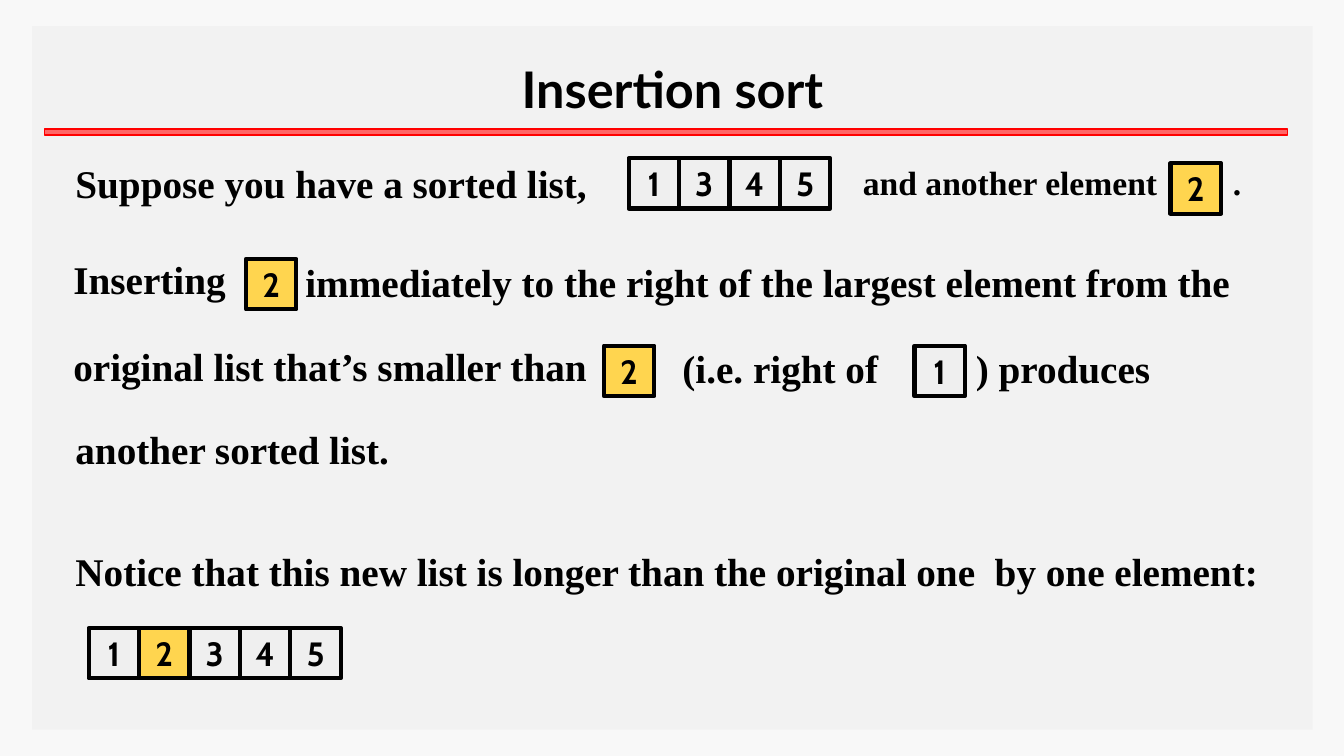
from dataclasses import dataclass

from lxml import etree
from pptx import Presentation
from pptx import util as u
from pptx.dml.color import RGBColor
from pptx.enum import shapes, text
from pptx.oxml import ns


@dataclass(frozen=True)
class Theme:
    background: str = "F8F8F8"
    panel: str = "EAEAEA"
    rule: str = "FF6666"
    rule_edge: str = "FF0000"
    ink: str = "000000"
    plain: str = "EFEFEF"
    inserted: str = "FFD54F"
    title_font: str = "Lato"
    body_font: str = "Times New Roman"
    cell_font: str = "Cabin"
    title_size: int = 36
    body_size: int = 28
    small_size: int = 24
    margin: float = 1
    tight: float = 0.5


THEME = Theme()
COLUMNS, ROWS = 133.3, 75
CELL = 5
GRID = u.Inches(0.1)


def grid(*cells):
    return [u.Emu(round(c * GRID)) for c in cells]


def colour(value):
    return RGBColor.from_string(value)


def write(tf, words, font, size, align=None, anchor=text.MSO_ANCHOR.TOP,
          inset=THEME.margin, tab=None):
    tf.word_wrap = True
    tf.auto_size = text.MSO_AUTO_SIZE.NONE
    tf.vertical_anchor = anchor
    tf.margin_left, tf.margin_right = grid(THEME.margin, THEME.margin)
    tf.margin_top, tf.margin_bottom = grid(inset, inset)
    p = tf.paragraphs[0]
    p.alignment = align
    if tab:
        stops = etree.SubElement(p._p.get_or_add_pPr(), ns.qn("a:tabLst"))
        etree.SubElement(stops, ns.qn("a:tab"), pos=str(grid(tab)[0]), algn="l")
    r = p.add_run()
    r.text = words
    r.font.name = font
    r.font.size = u.Pt(size)
    r.font.bold = True
    r.font.color.rgb = colour(THEME.ink)


def add_block(s, at, fill, edge=None, weight=1, alpha=None):
    sp = s.shapes.add_shape(shapes.MSO_SHAPE.RECTANGLE, *grid(*at))
    sp.shadow.inherit = False
    sp.fill.solid()
    sp.fill.fore_color.rgb = colour(fill)
    if alpha:
        tint = sp.fill._xPr.find(".//" + ns.qn("a:srgbClr"))
        etree.SubElement(tint, ns.qn("a:alpha"), val=str(alpha * 1000))
    if edge:
        sp.line.color.rgb = colour(edge)
        sp.line.width = u.Pt(weight)
    else:
        sp.line.fill.background()
    return sp


def add_title(s, words, at):
    title = s.shapes.title
    s.shapes.element.append(title.element)
    title.left, title.top, title.width, title.height = grid(*at)
    write(title.text_frame, words, THEME.title_font, THEME.title_size,
          text.PP_ALIGN.CENTER)


def add_phrase(s, words, at, size=THEME.body_size, **options):
    tf = s.shapes.add_textbox(*grid(*at)).text_frame
    write(tf, words, THEME.body_font, size, **options)


def add_list(s, values, column, row, inserted=None):
    for i, value in enumerate(values):
        fill = THEME.inserted if value == inserted else THEME.plain
        sp = add_block(s, (column + i * CELL, row, CELL, CELL), fill, THEME.ink, 3)
        write(sp.text_frame, str(value), THEME.cell_font, THEME.small_size,
              text.PP_ALIGN.CENTER, text.MSO_ANCHOR.MIDDLE)


def main():
    prs = Presentation()
    prs.slide_width, prs.slide_height = grid(COLUMNS, ROWS)
    s = prs.slides.add_slide(prs.slide_layouts[5])
    s.background.fill.solid()
    s.background.fill.fore_color.rgb = colour(THEME.background)

    add_block(s, (3.2, 2.6, 127, 69.8), THEME.panel, alpha=39)
    add_block(s, (4.4, 12.8, 123.3, 0.6), THEME.rule, THEME.rule_edge)
    add_title(s, "Insertion sort", (21.8, 4.8, 89.8, 7.9))

    new = 2
    add_phrase(s, "Suppose you have a sorted list,", (6.5, 14.8, 53.3, 7))
    add_list(s, [1, 3, 4, 5], 62.35, 15.7)
    add_list(s, [new], 116.1, 16.2, new)
    add_list(s, [new], 24.4, 25.7, new)
    add_list(s, [new], 59.9, 34.3, new)
    add_list(s, [1], 90.7, 34.3)
    add_phrase(s, "(i.e. right of\t) produces", (66.7, 33.2, 60.1, 7.3), tab=29.1)
    add_phrase(s, "and another element\t.", (84.6, 15.6, 42.2, 5),
               THEME.small_size, inset=THEME.tight, tab=36.7)
    add_phrase(s, "immediately to the right of the largest element from the",
               (29.3, 24.6, 95.5, 7))
    add_phrase(s, "Inserting", (6.3, 24.3, 18.1, 5.3))
    add_phrase(s, "original list that’s smaller than", (6.3, 33, 53.6, 7))
    add_phrase(s, "another sorted list.", (6.5, 41.2, 118.6, 7.3))
    add_phrase(s, "Notice that this new list is longer than the original one  "
               "by one element:", (6.5, 53.8, 121.6, 5.7), inset=THEME.tight)
    add_list(s, [1, new, 3, 4, 5], 8.8, 62.3, new)

    prs.save("out.pptx")


main()
